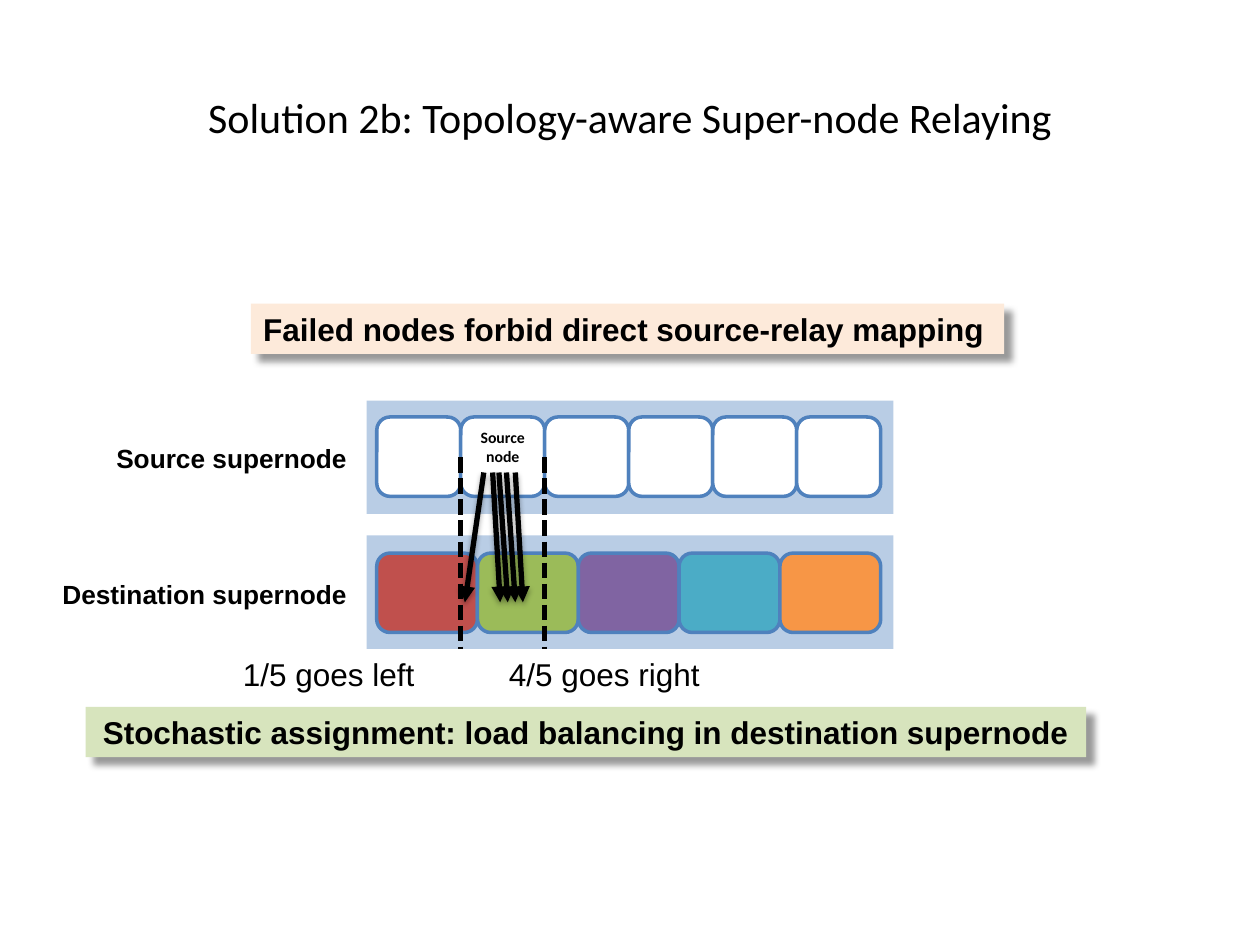
import pptx
import pptx.util
import pptx.oxml
import pptx.oxml.ns
import pptx.dml.color
import pptx.enum.dml
import pptx.enum.shapes
import pptx.enum.text

Inch = pptx.util.Inches
Kind = pptx.enum.shapes.MSO_SHAPE
Align = pptx.enum.text.PP_ALIGN
Anchor = pptx.enum.text.MSO_ANCHOR

# Content
TITLE = "Solution 2b: Topology-aware Super-node Relaying"
# text, box, fill, alignment
NOTES = [
    ("Stochastic assignment:\u00a0load balancing\u00a0in destination supernode",
     (0.68, 5.61, 7.94, 0.4), "green", Align.CENTER),
    ("Failed nodes forbid direct source-relay mapping",
     (1.99, 2.41, 5.98, 0.4), "peach", Align.LEFT),
]
SHARES = [("1/5 goes left", 1.83, 2.1), ("4/5 goes right", 3.94, 2.32)]
NODE = "Source node"
# label, label left, band top, node top, node fills
BANDS = [
    ("Source supernode", 0.77, 3.18, 3.31, ["FFFFFF"] * 6),
    ("Destination supernode", 0.36, 4.25, 4.39,
     ["C0504D", "9BBB59", "8064A2", "4BACC6", "F79646"]),
]
# x at the source, x at the destination
FLOWS = [(3.84, 3.69), (3.91, 3.97), (3.96, 4.03), (4.02, 4.09), (4.09, 4.15)]

THEME = {
    "ink": "000000", "band": "B9CDE5", "edge": "4F81BD",
    "green": "D7E4BD", "peach": "FDEADA",
    "head": "Calibri", "body": "Arial",
    "title": 24, "note": 18, "label": 15, "node": 9,
}
BAND_X, BAND_W, BAND_H = 2.91, 4.18, 0.9
ROW_X, ROW_W, ROW_H = 2.99, 4.0, 0.63
HOST = 1  # index of the source node
LABEL_END = 2.85

deck = pptx.Presentation()
deck.slide_width, deck.slide_height = Inch(10), Inch(7.5)
slide = deck.slides.add_slide(deck.slide_layouts[6])
shapes = slide.shapes


def color(code):
    return pptx.dml.color.RGBColor.from_string(code)


def write(shape, text, size, font="body", bold=False, align=Align.LEFT,
          anchor=Anchor.TOP):
    frame = shape.text_frame
    frame.word_wrap = True
    frame.vertical_anchor = anchor
    frame.text = text
    para = frame.paragraphs[0]
    para.alignment = align
    face = para.runs[0].font
    face.name, face.size, face.bold = THEME[font], pptx.util.Pt(THEME[size]), bold
    face.color.rgb = color(THEME["ink"])


def label(text, box, size, **style):
    write(shapes.add_textbox(*map(Inch, box)), text, size, **style)


def block(kind, box, fill, edge=None):
    shape = shapes.add_shape(kind, *map(Inch, box))
    shape.shadow.inherit = False
    shape.fill.solid()
    shape.fill.fore_color.rgb = color(fill)
    if edge:
        shape.line.color.rgb = color(edge)
        shape.line.width = pptx.util.Pt(2)
    else:
        shape.line.fill.background()
    return shape


def shade(shape, alpha, blur, dist, angle):
    props = shape._element.spPr
    for old in props.findall(pptx.oxml.ns.qn("a:effectLst")):
        props.remove(old)
    props.append(pptx.oxml.parse_xml(
        f'<a:effectLst {pptx.oxml.ns.nsdecls("a")}>'
        f'<a:outerShdw blurRad="{pptx.util.Pt(blur)}" dist="{pptx.util.Pt(dist)}"'
        f' dir="{angle * 60000}" algn="tl" rotWithShape="0">'
        f'<a:srgbClr val="{THEME["ink"]}"><a:alpha val="{alpha * 1000}"/></a:srgbClr>'
        '</a:outerShdw></a:effectLst>'))


def rule(start, end):
    line = shapes.add_connector(
        pptx.enum.shapes.MSO_CONNECTOR.STRAIGHT, *map(Inch, start + end))
    line.line.color.rgb = color(THEME["ink"])
    line.line.width = pptx.util.Pt(3)
    return line


# Title
label(TITLE, (0.5, 0.3, 9, 1.25), "title", font="head",
      align=Align.CENTER, anchor=Anchor.MIDDLE)

# Shaded notes
for text, box, fill, align in NOTES:
    note = block(Kind.RECTANGLE, box, THEME[fill])
    shade(note, 40, 4, 6, 45)
    write(note, text, "note", bold=True, align=align)

# Shares below the bands
for text, left, width in SHARES:
    label(text, (left, 5.15, width, 0.4), "note")

# Supernode bands, their nodes and labels
for text, left, top, row, fills in BANDS:
    block(Kind.RECTANGLE, (BAND_X, top, BAND_W, BAND_H), THEME["band"])
    step = ROW_W / len(fills)
    nodes = [block(Kind.ROUNDED_RECTANGLE,
                   (ROW_X + i * step, row, step, ROW_H), fill, THEME["edge"])
             for i, fill in enumerate(fills)]
    if text == BANDS[0][0]:
        write(nodes[HOST], NODE, "node", font="head", bold=True,
              align=Align.CENTER, anchor=Anchor.MIDDLE)
        nodes[HOST].text_frame.margin_bottom = Inch(0.2)
    label(text, (left, row + 0.15, LABEL_END - left, 0.35), "label",
          bold=True, align=Align.RIGHT)

# Dashed limits of the source node
cell = ROW_W / len(BANDS[0][4])
for i in (HOST, HOST + 1):
    x = ROW_X + i * cell
    limit = rule((x, 3.63), (x, 5.15))
    limit.line.dash_style = pptx.enum.dml.MSO_LINE.SQUARE_DOT
    limit._element.spPr.append(pptx.oxml.parse_xml(
        f'<a:effectLst {pptx.oxml.ns.nsdecls("a")}/>'))

# Flows to the destination nodes
for begin, end in FLOWS:
    flow = rule((begin, 3.75), (end, 4.78))
    flow.line._get_or_add_ln().append(pptx.oxml.parse_xml(
        f'<a:tailEnd {pptx.oxml.ns.nsdecls("a")} type="triangle"/>'))
    shade(flow, 35, 3.1, 1.8, 90)

deck.save("out.pptx")
